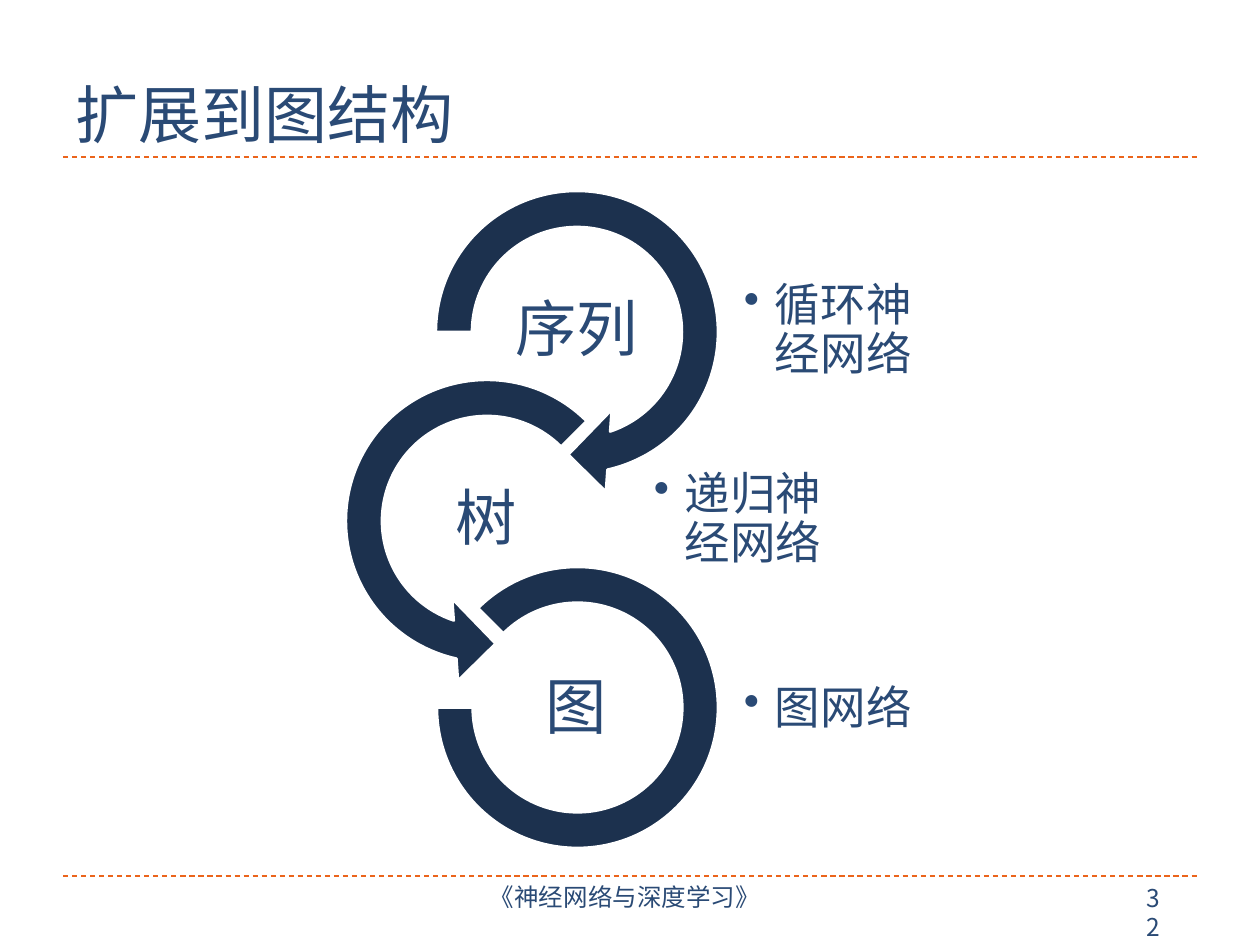
"""Build the slide that extends networks from sequences to trees and graphs."""
from dataclasses import dataclass

import lxml.etree
import pptx
import pptx.dml.color
import pptx.enum.dml
import pptx.enum.shapes
import pptx.enum.text
import pptx.oxml.ns
import pptx.util

SCALE = 914400 / 126
ALIGN = pptx.enum.text.PP_ALIGN
ANCHOR = pptx.enum.text.MSO_ANCHOR
SHAPE = pptx.enum.shapes.MSO_SHAPE
qn = pptx.oxml.ns.qn


@dataclass(frozen=True)
class Theme:
    ink: str = "2A4A75"
    ring: str = "1C314E"
    rule: str = "EB641B"
    paper: str = "FFFFFF"
    han: str = "Noto Sans CJK SC"
    latin: str = "Arial"
    title: int = 36
    label: int = 35
    detail: int = 26
    foot: int = 14


@dataclass(frozen=True)
class Box:
    x: int
    y: int
    w: int
    h: int


@dataclass(frozen=True)
class Stage:
    label: str
    detail: str
    x: int
    kind: SHAPE
    inset: tuple[int, int]
    size: int
    turns: tuple[float, ...]


THEME = Theme()
TOP, STEP = 168, 189
STAGES = (
    Stage("序列", "循环神经网络", 413, SHAPE.CIRCULAR_ARROW, (0, 0), 328,
          (0.11, 11.42, 45, 108, 0.125)),
    Stage("树", "递归神经网络", 323, SHAPE.LEFT_CIRCULAR_ARROW, (0, 0), 328,
          (0.11, 11.42, 63, 189, 0.125)),
    Stage("图", "图网络", 413, SHAPE.BLOCK_ARC, (24, 21), 281,
          (135, 108, 0.127)),
)


def px(n: int) -> int:
    return round(n * SCALE)


def rgb(code: str) -> pptx.dml.color.RGBColor:
    return pptx.dml.color.RGBColor.from_string(code)


def frame(box: Box) -> tuple[int, ...]:
    return px(box.x), px(box.y), px(box.w), px(box.h)


def style(para, size: int, face: str) -> None:
    font = para.font
    font.size = pptx.util.Pt(size)
    font.name = face
    font.color.rgb = rgb(THEME.ink)
    base = para._p.pPr.find(qn("a:defRPr"))
    lxml.etree.SubElement(base, qn("a:ea"), typeface=THEME.han)


def bullet(para) -> None:
    para.level = 1
    props = para._p.get_or_add_pPr()
    props.set("marL", str(px(31)))
    props.set("indent", str(-px(31)))
    lxml.etree.SubElement(props, qn("a:buChar"), char="•")


def write(slide, box: Box, text: str, size: int, face: str,
          align: ALIGN = ALIGN.LEFT, anchor: ANCHOR = ANCHOR.TOP,
          pad: tuple[int, int] = (13, 6), ratio: float = 1.0,
          dot: bool = False) -> None:
    body = slide.shapes.add_textbox(*frame(box)).text_frame
    body.word_wrap = True
    body.vertical_anchor = anchor
    body.margin_left = body.margin_right = px(pad[0])
    body.margin_top = body.margin_bottom = px(pad[1])
    para = body.paragraphs[0]
    para.text = text
    para.alignment = align
    para.line_spacing = ratio
    if dot:
        bullet(para)
    style(para, size, face)


def rule(slide, y: int) -> None:
    line = slide.shapes.add_connector(
        pptx.enum.shapes.MSO_CONNECTOR.STRAIGHT, px(63), px(y), px(1197), px(y))
    line.line.color.rgb = rgb(THEME.rule)
    line.line.width = pptx.util.Pt(0.75)
    line.line.dash_style = pptx.enum.dml.MSO_LINE.DASH
    lxml.etree.SubElement(line._element.spPr, qn("a:effectLst"))


def head(slide, text: str) -> None:
    title = slide.shapes.title
    title.left, title.top, title.width, title.height = frame(Box(63, 21, 1134, 136))
    title.text_frame.vertical_anchor = ANCHOR.BOTTOM
    para = title.text_frame.paragraphs[0]
    para.text = text
    para.alignment = ALIGN.LEFT
    style(para, THEME.title, THEME.han)


def draw(slide, stage: Stage, y: int) -> None:
    dx, dy = stage.inset
    ring = slide.shapes.add_shape(
        stage.kind, *frame(Box(stage.x + dx, y + dy, stage.size, stage.size)))
    for i, turn in enumerate(stage.turns):
        ring.adjustments[i] = turn
    ring.shadow.inherit = False
    ring.fill.solid()
    ring.fill.fore_color.rgb = rgb(THEME.ring)
    ring.line.color.rgb = rgb(THEME.paper)
    ring.line.width = pptx.util.Pt(1.5)
    write(slide, Box(stage.x + 328, y + 98, 197, 131), stage.detail, THEME.detail,
          THEME.latin, anchor=ANCHOR.MIDDLE, pad=(3, 3), ratio=0.9, dot=True)
    write(slide, Box(stage.x + 73, y + 118, 181, 91), stage.label, THEME.label,
          THEME.latin, ALIGN.CENTER, ANCHOR.MIDDLE, (3, 3), 0.9)


def main() -> None:
    deck = pptx.Presentation()
    deck.slide_width, deck.slide_height = px(1260), px(945)
    slide = deck.slides.add_slide(deck.slide_layouts[5])
    for y in (157, 876):
        rule(slide, y)
    write(slide, Box(420, 877, 410, 50), "《神经网络与深度学习》", THEME.foot,
          THEME.han, ALIGN.CENTER, pad=(9, 5))
    write(slide, Box(1134, 877, 52, 43), "32", THEME.foot, THEME.han)
    head(slide, "扩展到图结构")
    for i, stage in enumerate(STAGES):
        draw(slide, stage, TOP + i * STEP)
    deck.save("out.pptx")


if __name__ == "__main__":
    main()
